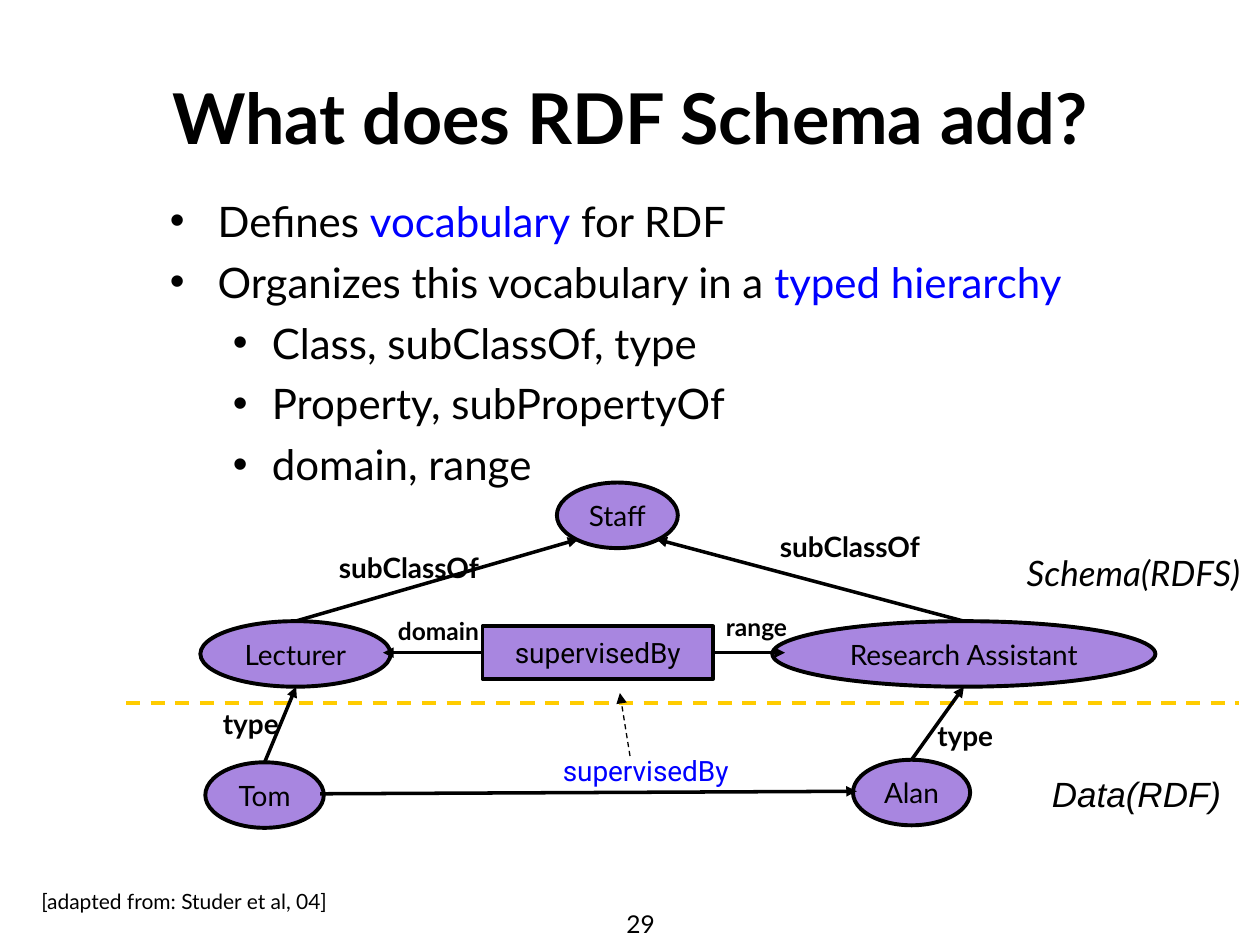
from lxml import etree
from pptx import Presentation
from pptx.dml.color import RGBColor
from pptx.enum import dml, shapes, text
from pptx.oxml import ns
from pptx.util import Inches, Pt

BLACK, BLUE, PURPLE, YELLOW = "000000", "0000FF", "A886E0", "FFCC00"
CENTER, LEFT = text.PP_ALIGN.CENTER, text.PP_ALIGN.LEFT
MIDDLE, BOTTOM = text.MSO_ANCHOR.MIDDLE, text.MSO_ANCHOR.BOTTOM
ELLIPSE, RECTANGLE = shapes.MSO_SHAPE.OVAL, shapes.MSO_SHAPE.RECTANGLE
TOP, LEFT_SIDE, RIGHT_SIDE = 0, 1, 3

# Level and runs; each run is a text and its colour
BULLETS = [
    (0, [("Defines ", BLACK), ("vocabulary", BLUE), (" for RDF", BLACK)]),
    (0, [("Organizes this vocabulary in a ", BLACK), ("typed hierarchy", BLUE)]),
    (1, [("Class, subClassOf, type", BLACK)]),
    (1, [("Property, subPropertyOf", BLACK)]),
    (1, [("domain, range", BLACK)]),
]
BULLET_INDENTS = [(0.38, -0.38), (0.81, -0.31)]

# Name: preset, box, line width, font
NODES = {
    "Alan": (ELLIPSE, (6.77, 6.03, 0.93, 0.52), 2.25, "Lato"),
    "Tom": (ELLIPSE, (1.63, 6.05, 0.94, 0.52), 2.25, "Lato"),
    "Staff": (ELLIPSE, (4.42, 3.83, 0.96, 0.52), 2.25, "Lato"),
    "Lecturer": (ELLIPSE, (1.59, 4.93, 1.51, 0.52), 2.25, "Lato"),
    "Research Assistant": (ELLIPSE, (6.13, 4.93, 3.04, 0.52), 2.25, "Lato"),
    "supervisedBy": (RECTANGLE, (3.83, 4.97, 1.83, 0.42), 2, "Roboto"),
}

# Start node, its side, end point
NODE_ARROWS = [
    ("supervisedBy", LEFT_SIDE, (3.04, 5.18)),
    ("supervisedBy", RIGHT_SIDE, (6.23, 5.18)),
    ("Alan", TOP, (7.65, 5.45)),
    ("Tom", TOP, (2.35, 5.45)),
    ("Lecturer", TOP, (4.59, 4.28)),
    ("Research Assistant", TOP, (5.21, 4.28)),
]

# Text, box, format
LABELS = [
    ("subClassOf", (6.09, 4.15, 1.42, 0.37), dict(bold=True)),
    ("subClassOf", (2.59, 4.32, 1.42, 0.37), dict(bold=True)),
    ("type", (7.34, 5.65, 0.69, 0.37), dict(bold=True)),
    ("type", (1.67, 5.56, 0.69, 0.37), dict(bold=True)),
    ("domain", (3.01, 4.84, 0.94, 0.34), dict(size=14, bold=True, align=CENTER)),
    ("range", (5.62, 4.81, 0.77, 0.34), dict(size=14, bold=True, align=CENTER)),
    ("supervisedBy", (4.33, 5.93, 1.59, 0.37),
     dict(font="Roboto", color=BLUE, align=CENTER)),
    ("[adapted from: Studer et al, 04]", (0.23, 7, 2.65, 0.3), dict(size=12)),
    ("Schema(RDFS)", (8.05, 4.33, 1.95, 0.44), dict(size=20, italic=True)),
    ("Data(RDF)", (8.25, 6.08, 1.6, 0.44),
     dict(size=20, font="Arial", italic=True)),
]


def rgb(value):
    return RGBColor.from_string(value)


def add_run(paragraph, content, size=16, font="Lato", color=BLACK,
            bold=False, italic=False):
    run = paragraph.add_run()
    run.text = content
    run.font.size, run.font.name = Pt(size), font
    run.font.bold, run.font.italic = bold, italic
    run.font.color.rgb = rgb(color)


def write(shape, content, align=LEFT, anchor=text.MSO_ANCHOR.TOP, wrap=False,
          **font_format):
    """Put one formatted paragraph in the shape."""
    frame = shape.text_frame
    frame.word_wrap, frame.vertical_anchor = wrap, anchor
    frame.paragraphs[0].alignment = align
    add_run(frame.paragraphs[0], content, **font_format)


def add_text(slide, content, box, wrap=False, **text_format):
    text_box = slide.shapes.add_textbox(*map(Inches, box))
    write(text_box, content, wrap=wrap, **text_format)
    if not wrap:
        text_box.text_frame.auto_size = text.MSO_AUTO_SIZE.SHAPE_TO_FIT_TEXT


def add_bullets(slide, box):
    frame = slide.shapes.add_textbox(*map(Inches, box)).text_frame
    frame.word_wrap = True
    for index, (level, runs) in enumerate(BULLETS):
        paragraph = frame.add_paragraph() if index else frame.paragraphs[0]
        paragraph.level, paragraph.space_before = level, Pt(6)
        margin, indent = BULLET_INDENTS[level]
        properties = paragraph._p.get_or_add_pPr()
        properties.set("marL", str(Inches(margin)))
        properties.set("indent", str(Inches(indent)))
        etree.SubElement(properties, ns.qn("a:buFont"), typeface="Arial")
        etree.SubElement(properties, ns.qn("a:buChar"), char="•")
        for content, color in runs:
            add_run(paragraph, content, size=24, color=color)


def add_node(slide, name):
    preset, box, line_width, font = NODES[name]
    shape = slide.shapes.add_shape(preset, *map(Inches, box))
    shape.shadow.inherit = False
    shape.fill.solid()
    shape.fill.fore_color.rgb = rgb(PURPLE)
    shape.line.color.rgb = rgb(BLACK)
    shape.line.width = Pt(line_width)
    write(shape, name, align=CENTER, anchor=MIDDLE, font=font)
    return shape


def add_line(slide, start, end, color=BLACK, width=2, dashed=False, arrow=True):
    line = slide.shapes.add_connector(
        shapes.MSO_CONNECTOR.STRAIGHT, *map(Inches, (*start, *end)))
    line.line.color.rgb = rgb(color)
    line.line.width = Pt(width)
    if dashed:
        line.line.dash_style = dml.MSO_LINE.DASH
    if arrow:
        etree.SubElement(line.line._get_or_add_ln(), ns.qn("a:tailEnd"),
                         type="triangle")
    etree.SubElement(line._element.spPr, ns.qn("a:effectLst"))
    return line


def main():
    presentation = Presentation()
    presentation.slide_width, presentation.slide_height = Inches(10), Inches(7.5)
    slide = presentation.slides.add_slide(presentation.slide_layouts[6])

    add_text(slide, "29", (3.92, 6.98, 2.33, 0.52), size=14, align=CENTER,
             anchor=BOTTOM, wrap=True)
    add_text(slide, "What does RDF Schema add?", (0.5, 0.3, 9, 1.25), size=40,
             bold=True, align=CENTER, anchor=MIDDLE, wrap=True)
    add_bullets(slide, (1.25, 1.5, 8.33, 4.67))

    nodes = {name: add_node(slide, name) for name in NODES}
    add_line(slide, (1, 5.58), (9.83, 5.58), color=YELLOW, dashed=True, arrow=False)
    add_line(slide, (2.54, 6.3), (6.8, 6.28))
    for name, side, end in NODE_ARROWS:
        add_line(slide, end, end).begin_connect(nodes[name], side)
    for content, box, text_format in LABELS:
        add_text(slide, content, box, **text_format)
    add_line(slide, (5, 6), (4.92, 5.5), width=0.75, dashed=True)

    presentation.save("out.pptx")


if __name__ == "__main__":
    main()
